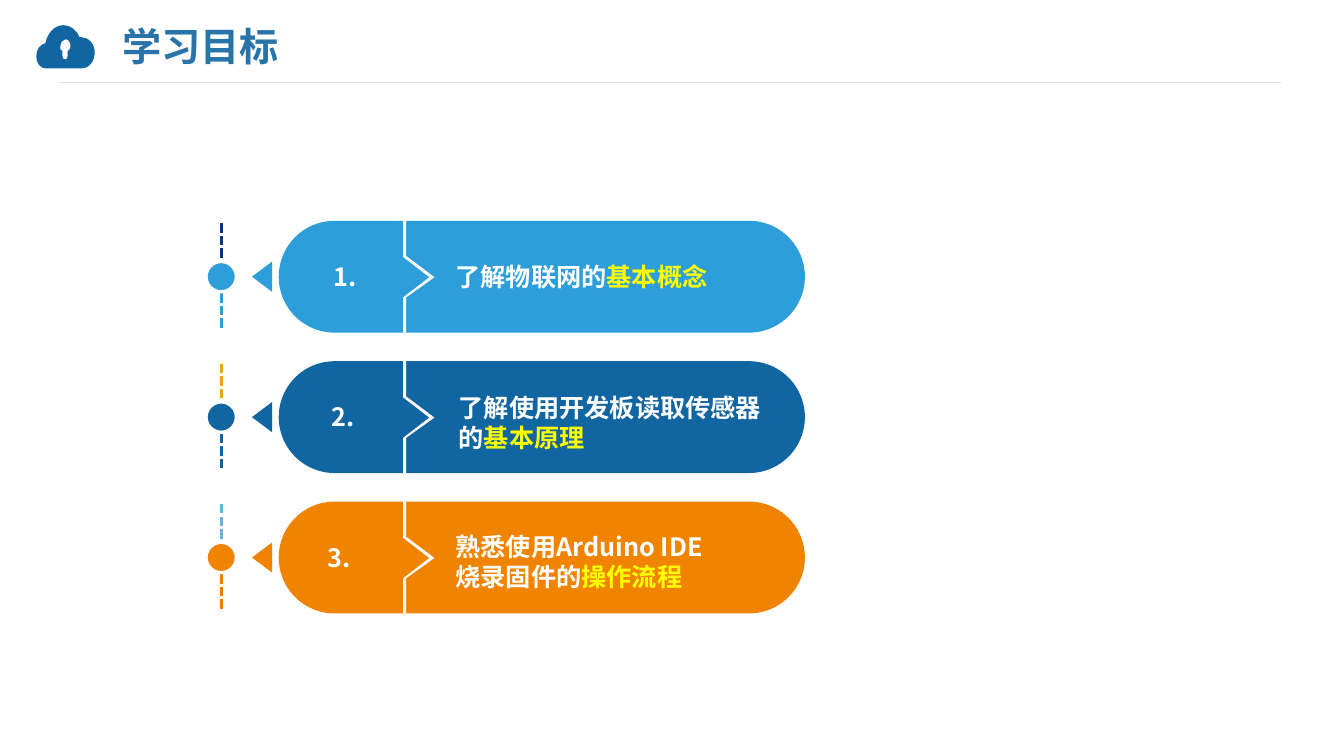
"""Build a slide of three learning goals beside a dashed timeline."""
from dataclasses import dataclass

from lxml import etree
from pptx import Presentation
from pptx import util as u
from pptx.dml import color
from pptx.enum import dml, shapes, text
from pptx.oxml import ns

CELL = u.Inches(0.1)
COLS, ROWS = 133.33, 75
TOP, PITCH, TALL = 21.9, 13.93, 11.1
FACE = "Noto Sans CJK SC"
BLUE, WHITE, GOLD = "1165A0", "FFFFFF", "FFFF00"
CLOUD = [
    [(8.1, 3.7), (8, 3.7, 8, 3.7, 7.9, 3.7), (7.6, 3, 7, 2.5, 6.3, 2.5),
     (5.4, 2.5, 4.7, 3.3, 4.5, 4.3), (4, 4.4, 3.6, 4.9, 3.6, 5.6),
     (3.6, 6.3, 4, 6.8, 4.6, 6.8), (8.1, 6.8),
     (8.8, 6.8, 9.4, 6.1, 9.4, 5.2), (9.4, 4.4, 8.8, 3.7, 8.1, 3.7)],
    [(6.7, 5.1), (6.7, 5.6), (6.7, 5.8, 6.6, 5.9, 6.5, 5.9),
     (6.3, 5.9, 6.2, 5.8, 6.2, 5.6), (6.2, 5.1),
     (6, 5, 5.9, 4.8, 6, 4.5), (6, 4.2, 6.2, 4, 6.5, 3.9),
     (6.8, 3.9, 7, 4.2, 7, 4.6), (7, 4.8, 6.9, 5, 6.7, 5.1)],
]
NOTCH = [(40, 0), (40, 3.6), (42.6, 5.6), (40, 7.6), (40, TALL),
         (40.3, TALL), (40.3, 7.6), (43.1, 5.6), (40.3, 3.5), (40.3, 0), (40, 0)]


@dataclass
class Box:
    """A place on the grid, in columns and rows."""
    x: float
    y: float
    w: float
    h: float

    def emu(self) -> list[int]:
        """Return the place in EMU."""
        return [grid(n) for n in (self.x, self.y, self.w, self.h)]


@dataclass
class Goal:
    """One goal with its colours and text places."""
    num: str
    lines: list[str]
    key: str
    fill: str
    over: str
    under: str
    mid: float
    body: Box


GOALS = [
    Goal("1.", ["了解物联网的"], "基本概念", "2E9EDA", "053675", "2E9EDA",
         34.25, Box(45.2, 25.7, 30, 3.4)),
    Goal("2.", ["了解使用开发板读取传感器", "的"], "基本原理", BLUE, "EBA417", BLUE,
         34, Box(45.5, 35.45, 33, 12.9)),
    Goal("3.", ["熟悉使用Arduino IDE", "烧录固件的"], "操作流程", "F08300", "66B3E1",
         "EB8000", 33.65, Box(45.2, 50.7, 30, 10)),
]


def grid(n: float) -> int:
    """Turn grid cells into EMU."""
    return round(n * CELL)


def tint(code: str) -> color.RGBColor:
    """Turn a hex string into a colour."""
    return color.RGBColor.from_string(code)


def paint(shape, fill: str, edge: str = "") -> None:
    """Fill a shape and give it an edge or none."""
    shape.shadow.inherit = False
    shape.fill.solid()
    shape.fill.fore_color.rgb = tint(fill)
    if edge:
        shape.line.color.rgb = tint(edge)
        shape.line.width = u.Pt(2.25)
    else:
        shape.line.fill.background()


def form(page, kind, box: Box, fill: str, edge: str = ""):
    """Draw a preset shape."""
    shape = page.shapes.add_shape(kind, *box.emu())
    paint(shape, fill, edge)
    return shape


def rule(page, start: tuple, end: tuple, code: str, size: float, dash: bool) -> None:
    """Draw a straight line."""
    line = page.shapes.add_connector(
        shapes.MSO_CONNECTOR.STRAIGHT, *map(grid, start + end))
    line.line.color.rgb = tint(code)
    line.line.width = u.Pt(size)
    if dash:
        line.line.dash_style = dml.MSO_LINE.SQUARE_DOT
    etree.SubElement(line._element.spPr, ns.qn("a:effectLst"))


def trace(page, loops: list[list[tuple]], fill: str) -> None:
    """Draw a filled outline whose six-number steps are cubic curves."""
    ends = [[tuple(map(grid, step[-2:])) for step in loop] for loop in loops]
    pen = page.shapes.build_freeform(*ends[0][0])
    for i, loop in enumerate(ends):
        if i:
            pen.move_to(*loop[0])
        pen.add_line_segments(loop[1:], close=True)
    shape = pen.convert_to_shape()
    paint(shape, fill)
    steps = [step for loop in loops for step in loop[1:]]
    lines = list(shape._element.iter(ns.qn("a:lnTo")))
    for line, step in zip(lines, steps):
        if len(step) == 6:
            line.tag = ns.qn("a:cubicBezTo")
            for k in (0, 2):
                spot = etree.Element(ns.qn("a:pt"), x=str(grid(step[k]) - shape.left),
                                     y=str(grid(step[k + 1]) - shape.top))
                line.insert(k // 2, spot)


def style(run, size: float, code: str) -> None:
    """Format one run."""
    run.font.size = u.Pt(size)
    run.font.bold = True
    run.font.color.rgb = tint(code)
    run.font.name = FACE
    etree.SubElement(run._r.get_or_add_rPr(), ns.qn("a:ea"), typeface=FACE)


def write(shape, lines: list[str], size: float, code: str, side, key: str = "") -> None:
    """Write lines into a frame and end them with a key phrase."""
    frame = shape.text_frame
    frame.word_wrap = True
    frame.auto_size = text.MSO_AUTO_SIZE.NONE
    frame.vertical_anchor = text.MSO_ANCHOR.MIDDLE
    frame.margin_left = frame.margin_right = 0
    frame.margin_top = frame.margin_bottom = 0
    frame.text = "\n".join(lines)
    for para in frame.paragraphs:
        para.alignment = side
        style(para.runs[0], size, code)
    if key:
        run = frame.paragraphs[-1].add_run()
        run.text = key
        style(run, size, GOLD)


def draw(page, goal: Goal, y: float) -> None:
    """Draw one goal with its part of the timeline."""
    kind, side = shapes.MSO_SHAPE, text.PP_ALIGN
    pill = form(page, kind.ROUNDED_RECTANGLE, Box(27.65, y, 52.2, TALL), goal.fill)
    pill.adjustments[0] = 0.5
    trace(page, [[(a, y + b) for a, b in NOTCH]], WHITE)
    form(page, kind.ISOSCELES_TRIANGLE, Box(24.5, y + 4.55, 3, 2), goal.fill).rotation = 270
    num = page.shapes.add_textbox(*Box(goal.mid - 4, y + 3.8, 8, 3.4).emu())
    write(num, [goal.num], 18, WHITE, side.CENTER)
    body = page.shapes.add_textbox(*goal.body.emu())
    write(body, goal.lines, 18, WHITE, side.LEFT, goal.key)
    rule(page, (22, y + 7.2), (22, y + 10.8), goal.under, 2.25, True)
    form(page, kind.OVAL, Box(20.45, y + 4.05, 3, 3), goal.fill, WHITE)
    rule(page, (22, y + 0.25), (22, y + 3.9), goal.over, 2.25, True)


def main() -> None:
    """Build and save the slide."""
    deck = Presentation()
    deck.slide_width, deck.slide_height = grid(COLS), grid(ROWS)
    page = deck.slides.add_slide(deck.slide_layouts[5])
    head = page.shapes.title
    head.left, head.top, head.width, head.height = Box(12.15, 1.95, 88.9, 5.2).emu()
    write(head, ["学习目标"], 28, "2874A9", text.PP_ALIGN.LEFT)
    rule(page, (5.85, 8.2), (127.1, 8.2), "E0E0E0", 0.75, False)
    trace(page, CLOUD, BLUE)
    for i, goal in enumerate(GOALS):
        draw(page, goal, TOP + i * PITCH)
    deck.save("out.pptx")


if __name__ == "__main__":
    main()
